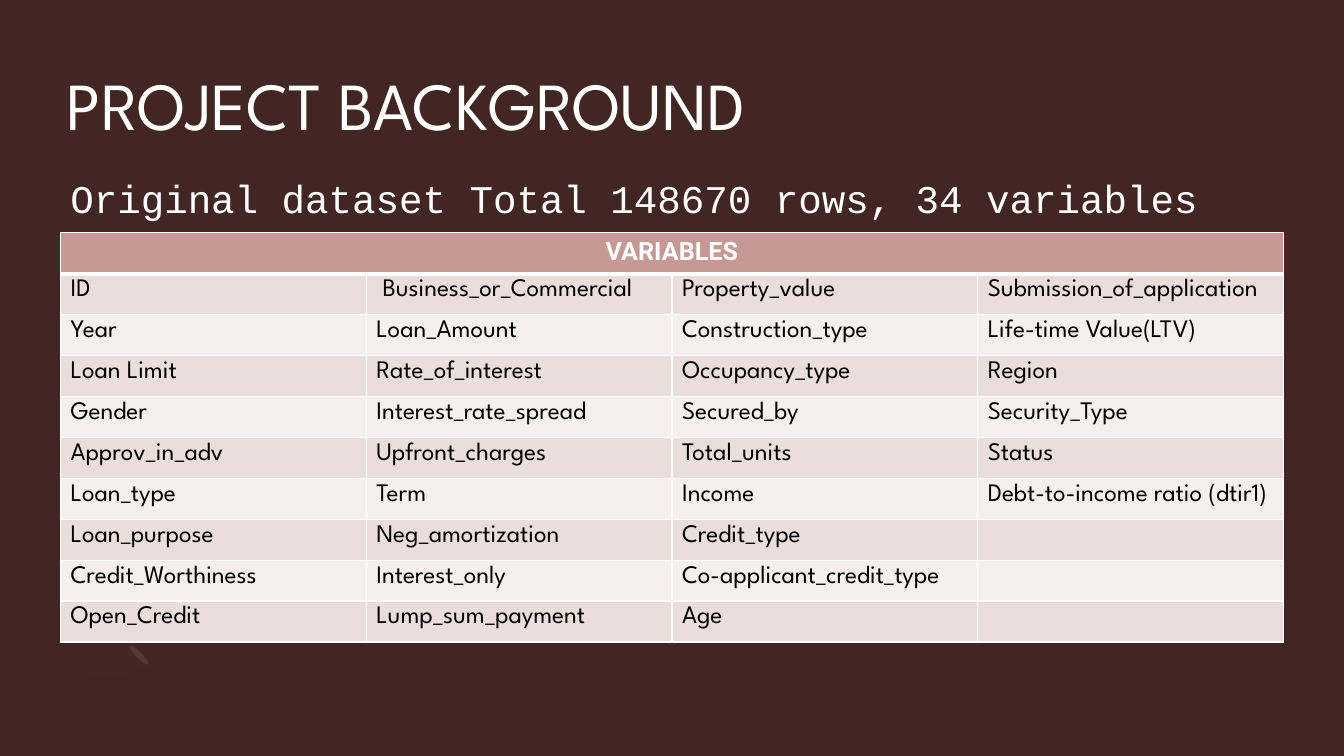
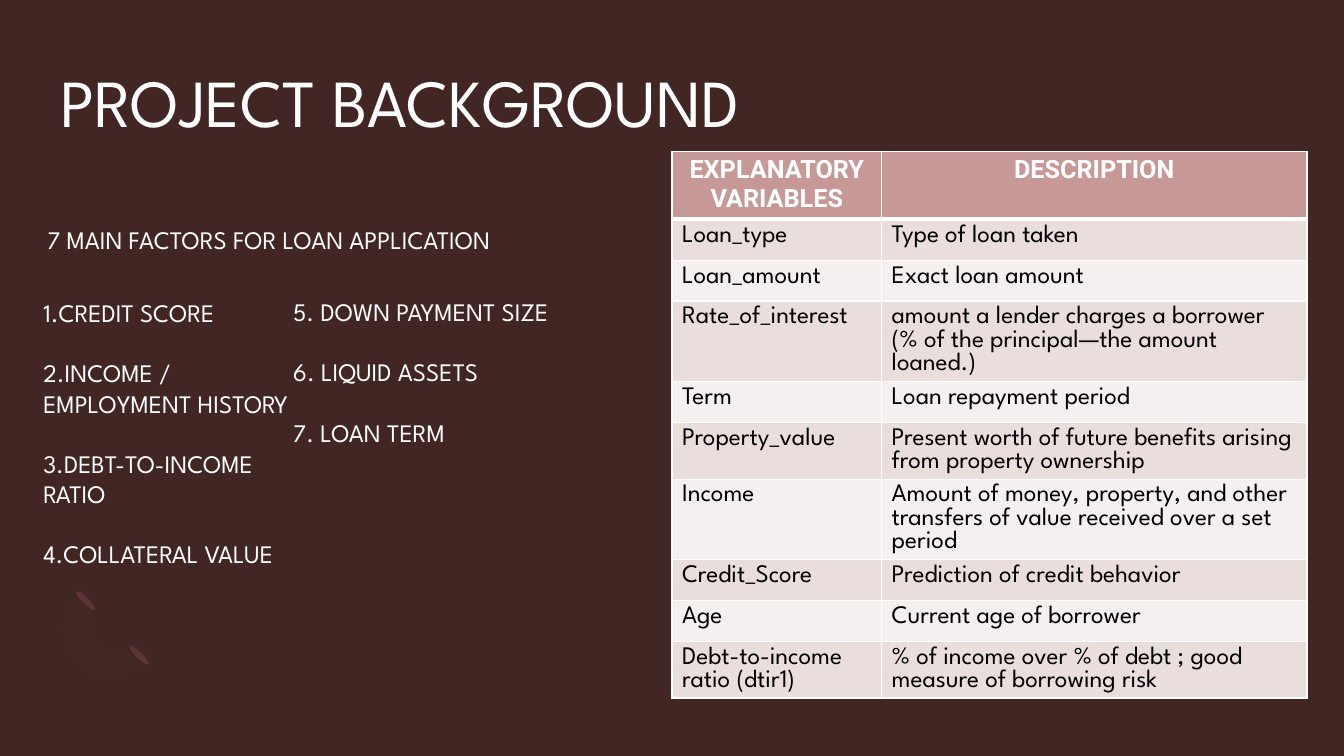
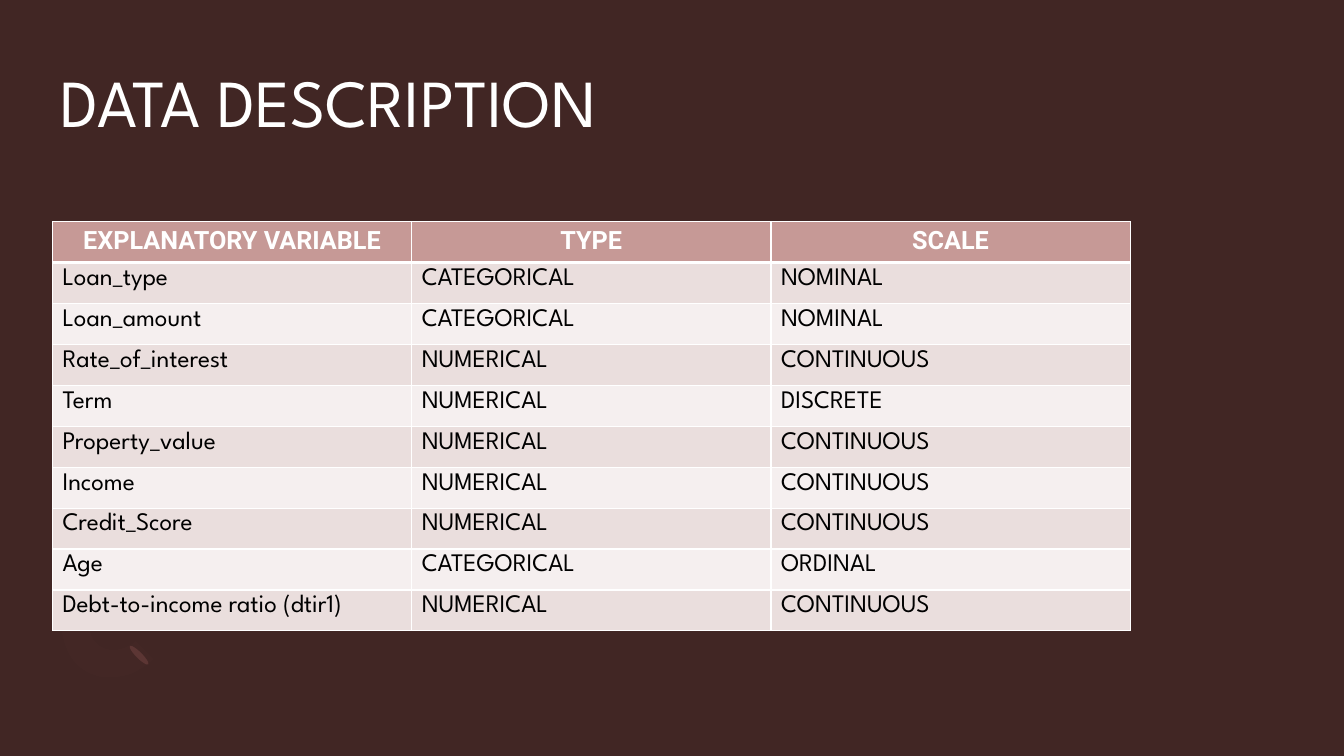
from lxml import etree
from pptx import Presentation
from pptx.dml.color import RGBColor
from pptx.enum.shapes import MSO_SHAPE
from pptx.enum.text import MSO_ANCHOR, PP_ALIGN
from pptx.oxml.ns import qn
from pptx.util import Inches, Pt

WIDTH, HEIGHT = Inches(13.333), Inches(7.5)
OVAL = MSO_SHAPE.OVAL
TOP, MIDDLE = MSO_ANCHOR.TOP, MSO_ANCHOR.MIDDLE
LEFT, CENTER = PP_ALIGN.LEFT, PP_ALIGN.CENTER

BACKGROUND, WHITE, BLACK = "412624", "FFFFFF", "000000"
PETAL, ARC = "5B3533", "B67F7B"
HEADER_FILL, BAND_FILLS = "C69996", ("EADEDD", "F5EFEF")
BODY_FONT, HEADER_FONT, MONO_FONT = "League Spartan", "Roboto", "Courier New"
BODY_SIZE, TITLE_SIZE, SUBTITLE_SIZE = 18, 48, 28
BLANK_LINE = 21.5
HEADER_LINE, CELL_LINE = 20.7, 16.7
TABLE_HEIGHT = 54.13

HUNDREDTH_INCH = 9144
ARC_START = (76, 659)
ARC_PATH = [
    [(56, 639), (58, 605), (81, 582)],
    [(99, 600)],
    [(87, 611), (86, 629), (96, 638)],
    [(106, 648), (123, 647), (135, 636)],
    [(152, 654)],
    [(130, 676), (95, 679), (76, 659)],
]

VARIABLES = [
    ["VARIABLES", "", "", ""],
    ["ID", " Business_or_Commercial", "Property_value", "Submission_of_application"],
    ["Year", "Loan_Amount", "Construction_type", "Life-time Value(LTV)"],
    ["Loan Limit", "Rate_of_interest", "Occupancy_type", "Region"],
    ["Gender", "Interest_rate_spread", "Secured_by", "Security_Type"],
    ["Approv_in_adv", "Upfront_charges", "Total_units", "Status"],
    ["Loan_type", "Term", "Income", "Debt-to-income ratio (dtir1)"],
    ["Loan_purpose", "Neg_amortization", "Credit_type", ""],
    ["Credit_Worthiness", "Interest_only", "Co-applicant_credit_type", ""],
    ["Open_Credit", "Lump_sum_payment", "Age", ""],
]
EXPLANATORY = [
    ("Loan_type", "Type of loan taken", "CATEGORICAL", "NOMINAL"),
    ("Loan_amount", "Exact loan amount", "CATEGORICAL", "NOMINAL"),
    ("Rate_of_interest", "amount a lender charges a borrower (% of the principal—the amount loaned.)",
     "NUMERICAL", "CONTINUOUS"),
    ("Term", "Loan repayment period", "NUMERICAL", "DISCRETE"),
    ("Property_value", "Present worth of future benefits arising from property ownership",
     "NUMERICAL", "CONTINUOUS"),
    ("Income", "Amount of money, property, and other transfers of value received over a set period",
     "NUMERICAL", "CONTINUOUS"),
    ("Credit_Score", "Prediction of credit behavior", "NUMERICAL", "CONTINUOUS"),
    ("Age", "Current age of borrower", "CATEGORICAL", "ORDINAL"),
    ("Debt-to-income ratio (dtir1)", "% of income over % of debt ; good measure of borrowing risk",
     "NUMERICAL", "CONTINUOUS"),
]
DESCRIPTIONS = [("EXPLANATORY VARIABLES", "DESCRIPTION")] + [row[:2] for row in EXPLANATORY]
SCALES = [("EXPLANATORY VARIABLE", "TYPE", "SCALE")] + [(row[0], *row[2:]) for row in EXPLANATORY]


def color(value):
    """Turn a hex string into a colour."""
    return RGBColor.from_string(value)


def place(left, top, width, height):
    """Turn percentages of the slide into a position and a size."""
    return [int(share * full / 100) for share, full in
            ((left, WIDTH), (top, HEIGHT), (width, WIDTH), (height, HEIGHT))]


def paint(shape, fill):
    """Give a shape a plain fill without line or shadow."""
    shape.shadow.inherit = False
    shape.line.fill.background()
    shape.fill.solid()
    shape.fill.fore_color.rgb = color(fill)


def add_run(paragraph, text, size=BODY_SIZE, font=BODY_FONT, ink=WHITE, bold=False):
    """Add one styled run to a paragraph."""
    run = paragraph.add_run()
    run.text = text
    run.font.size, run.font.name, run.font.bold = Pt(size), font, bold
    run.font.color.rgb = color(ink)


def add_text(slide, box, lines, size=BODY_SIZE, font=BODY_FONT, insets=(0.1, 0.05),
             anchor=TOP, numbered=False):
    """Add a text box whose paragraphs stand one blank line apart."""
    frame = slide.shapes.add_textbox(*place(*box)).text_frame
    frame.word_wrap, frame.vertical_anchor = True, anchor
    frame.margin_left = frame.margin_right = Inches(insets[0])
    frame.margin_top = frame.margin_bottom = Inches(insets[1])
    for index, line in enumerate(lines):
        paragraph = frame.add_paragraph() if index else frame.paragraphs[0]
        if index < len(lines) - 1:
            paragraph.space_after = Pt(BLANK_LINE)
        if numbered:
            properties = paragraph._p.get_or_add_pPr()
            properties.set("marL", "0")
            properties.set("indent", "0")
            etree.SubElement(properties, qn("a:buAutoNum"), type="arabicPeriod")
        add_run(paragraph, line, size, font)


def add_borders(cell, top, bottom):
    """Draw white borders around a cell, widths in points."""
    properties = cell._tc.get_or_add_tcPr()
    for side, width in (("L", 1), ("R", 1), ("T", top), ("B", bottom)):
        line = etree.SubElement(properties, qn(f"a:ln{side}"), w=str(Pt(width)))
        fill = etree.SubElement(line, qn("a:solidFill"))
        etree.SubElement(fill, qn("a:srgbClr"), val=WHITE)


def add_banded_table(slide, left, top, width, weights, rows, merge_header=False):
    """Add a table with a header row and two alternating row fills."""
    box = place(left, top, width, TABLE_HEIGHT)
    table = slide.shapes.add_table(len(rows), len(weights), *box).table
    for column, weight in zip(table.columns, weights):
        column.width = int(box[2] * weight / sum(weights))
    for row_index, texts in enumerate(rows):
        header = row_index == 0
        for column_index, text in enumerate(texts):
            cell = table.cell(row_index, column_index)
            add_borders(cell, 3 if row_index == 1 else 1, 3 if header else 1)
            cell.fill.solid()
            cell.fill.fore_color.rgb = color(HEADER_FILL if header else BAND_FILLS[(row_index - 1) % 2])
            paragraph = cell.text_frame.paragraphs[0]
            paragraph.alignment = CENTER if header else LEFT
            paragraph.line_spacing = Pt(HEADER_LINE if header else CELL_LINE)
            if text:
                add_run(paragraph, text, font=HEADER_FONT if header else BODY_FONT,
                        ink=WHITE if header else BLACK, bold=header)
    if merge_header:
        table.cell(0, 0).merge(table.cell(0, len(weights) - 1))


def curve(start, controls, steps=10):
    """Sample a cubic curve into points."""
    points = (start, *controls)
    for step in range(1, steps + 1):
        t = step / steps
        weights = ((1 - t) ** 3, 3 * t * (1 - t) ** 2, 3 * t * t * (1 - t), t ** 3)
        yield tuple(sum(w * point[axis] for w, point in zip(weights, points)) for axis in (0, 1))


def add_ornament(slide):
    """Draw the two petals and the faint arc in the lower left corner."""
    for left, top in ((10.12, 84.93), (6.15, 77.73)):
        petal = slide.shapes.add_shape(OVAL, *place(left, top, 0.45, 3.47))
        petal.rotation = 135
        paint(petal, PETAL)
    outline, last = [], ARC_START
    for segment in ARC_PATH:
        outline.extend(curve(last, segment) if len(segment) == 3 else segment)
        last = segment[-1]
    builder = slide.shapes.build_freeform(*ARC_START, scale=HUNDREDTH_INCH)
    builder.add_line_segments(outline, close=True)
    arc = builder.convert_to_shape()
    paint(arc, ARC)
    tint = arc._element.spPr.find(qn("a:solidFill"))[0]
    etree.SubElement(tint, qn("a:alpha"), val="2000")


def add_titled_slide(presentation, title, left=4.5, top=8):
    """Add a blank slide with the shared ornament and title style."""
    slide = presentation.slides.add_slide(presentation.slide_layouts[6])
    add_ornament(slide)
    add_text(slide, (left, top, 91, 19.5), [title], TITLE_SIZE, insets=(0, 0))
    return slide


def main():
    """Build the three slides and save them."""
    presentation = Presentation()
    presentation.slide_width, presentation.slide_height = WIDTH, HEIGHT
    background = presentation.slide_master.background.fill
    background.solid()
    background.fore_color.rgb = color(BACKGROUND)

    slide = add_titled_slide(presentation, "PROJECT BACKGROUND", 4.95, 8.4)
    add_banded_table(slide, 4.5, 30.8, 91, (1, 1, 1, 1), VARIABLES, merge_header=True)
    add_text(slide, (4.5, 23.07, 87.8, 6.27), ["Original dataset Total 148670 rows, 34 variables"],
             SUBTITLE_SIZE, MONO_FONT, (0.1, 0), MIDDLE)

    slide = add_titled_slide(presentation, "PROJECT BACKGROUND")
    add_banded_table(slide, 50, 20, 47.25, (2.08, 4.22), DESCRIPTIONS)
    add_text(slide, (2.78, 29.07, 50, 9.47), ["7 MAIN FACTORS FOR LOAN APPLICATION"])
    add_text(slide, (21.08, 38.53, 21.6, 25.6),
             ["5. DOWN PAYMENT SIZE", "6. LIQUID ASSETS", "7. LOAN TERM"])
    add_text(slide, (2.48, 38.67, 21.6, 41.73),
             ["CREDIT SCORE", "INCOME / EMPLOYMENT HISTORY", "DEBT-TO-INCOME RATIO", "COLLATERAL VALUE"],
             numbered=True)

    slide = add_titled_slide(presentation, "DATA DESCRIPTION")
    add_banded_table(slide, 3.9, 29.33, 80.2, (1, 1, 1), SCALES)

    presentation.save("out.pptx")


if __name__ == "__main__":
    main()
